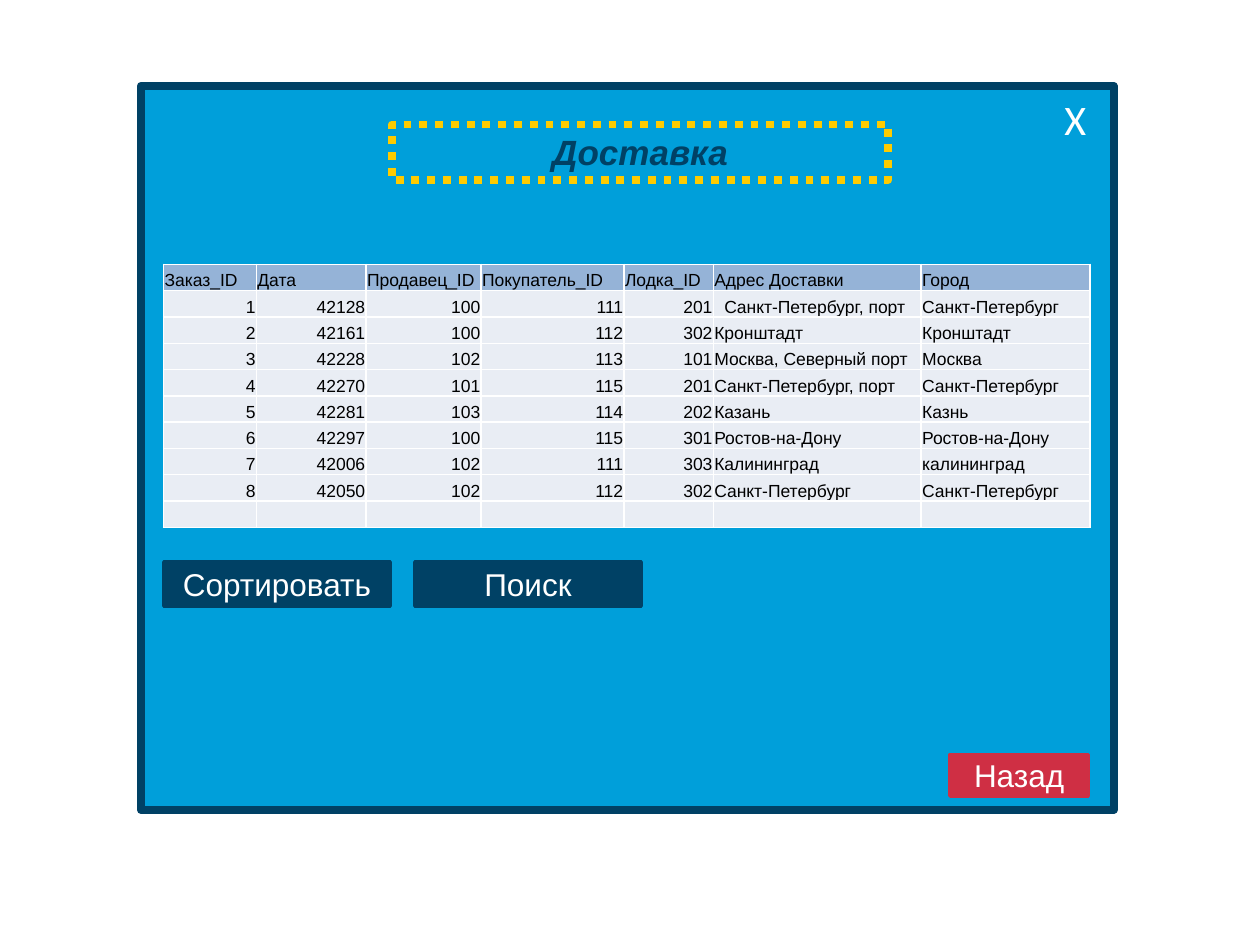
from dataclasses import dataclass

from lxml.etree import SubElement
from pptx import Presentation
from pptx.dml.color import RGBColor
from pptx.enum.dml import MSO_LINE
from pptx.enum.shapes import MSO_SHAPE
from pptx.enum.text import MSO_ANCHOR, PP_ALIGN
from pptx.oxml.ns import qn
from pptx.util import Cm, Pt


@dataclass(frozen=True)
class Theme:
    blue: RGBColor = RGBColor(0x00, 0x9F, 0xDA)
    navy: RGBColor = RGBColor(0x00, 0x41, 0x65)
    red: RGBColor = RGBColor(0xCF, 0x2F, 0x44)
    yellow: RGBColor = RGBColor(0xFE, 0xCB, 0x00)
    white: RGBColor = RGBColor(0xFF, 0xFF, 0xFF)
    black: RGBColor = RGBColor(0x00, 0x00, 0x00)
    header: RGBColor = RGBColor(0x95, 0xB3, 0xD7)
    body: RGBColor = RGBColor(0xE9, 0xED, 0xF4)
    title_size: Pt = Pt(20)
    button_size: Pt = Pt(18)
    close_size: Pt = Pt(24)
    cell_size: Pt = Pt(10)


theme = Theme()

prs = Presentation()
prs.slide_width, prs.slide_height = Cm(25.4), Cm(19.05)
s = prs.slides.add_slide(prs.slide_layouts[6])


def add_box(box, fill, line, width, text="", kind=MSO_SHAPE.RECTANGLE, **font):
    """Add an outlined shape with centred text; box is left, top, width, height in cm."""
    sp = s.shapes.add_shape(kind, *map(Cm, box))
    sp.shadow.inherit = False
    if fill is None:
        sp.fill.background()
    else:
        sp.fill.solid()
        sp.fill.fore_color.rgb = fill
    sp.line.color.rgb = line
    sp.line.width = Pt(width)
    if text:
        sp.text_frame.word_wrap = True
        p = sp.text_frame.paragraphs[0]
        p.alignment = PP_ALIGN.CENTER
        r = p.add_run()
        r.text = text
        color = font.pop("color", theme.white)
        for name, value in ({"name": "Arial", "size": theme.button_size} | font).items():
            setattr(r.font, name, value)
        r.font.color.rgb = color
    return sp


# Window frame and title
add_box((2.84, 1.73, 19.61, 14.6), theme.blue, theme.navy, 4.5)
title = add_box((7.9, 2.51, 10.01, 1.12), None, theme.yellow, 4.5, "Доставка",
                color=theme.navy, size=theme.title_size, bold=True, italic=True)
title.line.dash_style = MSO_LINE.ROUND_DOT
title.text_frame.vertical_anchor = MSO_ANCHOR.TOP

# Orders table
HEADINGS = ("Заказ_ID", "Дата", "Продавец_ID", "Покупатель_ID", "Лодка_ID",
            "Адрес Доставки", "Город")
ORDERS = (
    (1, 42128, 100, 111, 201, "Санкт-Петербург, порт", "Санкт-Петербург"),
    (2, 42161, 100, 112, 302, "Кронштадт", "Кронштадт"),
    (3, 42228, 102, 113, 101, "Москва, Северный порт", "Москва"),
    (4, 42270, 101, 115, 201, "Санкт-Петербург, порт", "Санкт-Петербург"),
    (5, 42281, 103, 114, 202, "Казань", "Казнь"),
    (6, 42297, 100, 115, 301, "Ростов-на-Дону", "Ростов-на-Дону"),
    (7, 42006, 102, 111, 303, "Калининград", "калининград"),
    (8, 42050, 102, 112, 302, "Санкт-Петербург", "Санкт-Петербург"),
)
rows = (HEADINGS, *ORDERS, ("",) * len(HEADINGS))
COL_WIDTHS = (1.87, 2.21, 2.32, 2.88, 1.8, 4.19, 3.4)
ROW_HEIGHT = 0.53
CELL_FORMAT = {
    "margin_left": Cm(0.02), "margin_right": Cm(0.02),
    "margin_top": Cm(0.02), "margin_bottom": 0,
    "vertical_anchor": MSO_ANCHOR.BOTTOM,
}

table = s.shapes.add_table(len(rows), len(HEADINGS), Cm(3.3), Cm(5.33),
                           Cm(sum(COL_WIDTHS)), Cm(ROW_HEIGHT * len(rows))).table
table.first_row = table.horz_banding = False
for column, width in zip(table.columns, COL_WIDTHS):
    column.width = Cm(width)

for i, row in enumerate(rows):
    table.rows[i].height = Cm(ROW_HEIGHT)
    for j, value in enumerate(row):
        cell = table.cell(i, j)
        for name, setting in CELL_FORMAT.items():
            setattr(cell, name, setting)
        tcPr = cell._tc.get_or_add_tcPr()
        for side in ("lnL", "lnR", "lnT", "lnB"):
            ln = SubElement(tcPr, qn(f"a:{side}"), w=str(Pt(1)))
            SubElement(SubElement(ln, qn("a:solidFill")), qn("a:srgbClr"),
                       val=str(theme.white))
        cell.fill.solid()
        cell.fill.fore_color.rgb = theme.header if i == 0 else theme.body

        p = cell.text_frame.paragraphs[0]
        if value == "":
            SubElement(p._p, qn("a:endParaRPr"), sz=str(int(theme.cell_size.pt * 100)))
            continue
        p.alignment = PP_ALIGN.RIGHT if isinstance(value, int) else PP_ALIGN.LEFT
        r = p.add_run()
        r.text = str(value)
        r.font.name, r.font.size = "Arial", theme.cell_size
        r.font.color.rgb = theme.black

# The first delivery address is indented
first_address = table.cell(1, 5).text_frame.paragraphs[0]
first_address._p.get_or_add_pPr().set("marL", str(Cm(0.2)))

# Buttons
for text, box, color in (
    ("Сортировать", (3.3, 11.33, 4.57, 0.89), theme.navy),
    ("Поиск", (8.36, 11.33, 4.57, 0.89), theme.navy),
    ("Назад", (19.15, 15.21, 2.79, 0.84), theme.red),
):
    add_box(box, color, color, 2, text)
add_box((21.08, 1.85, 1.19, 1.07), theme.blue, theme.blue, 2, "Х",
        MSO_SHAPE.ACTION_BUTTON_CUSTOM, name="Calibri", size=theme.close_size)

prs.save("out.pptx")
